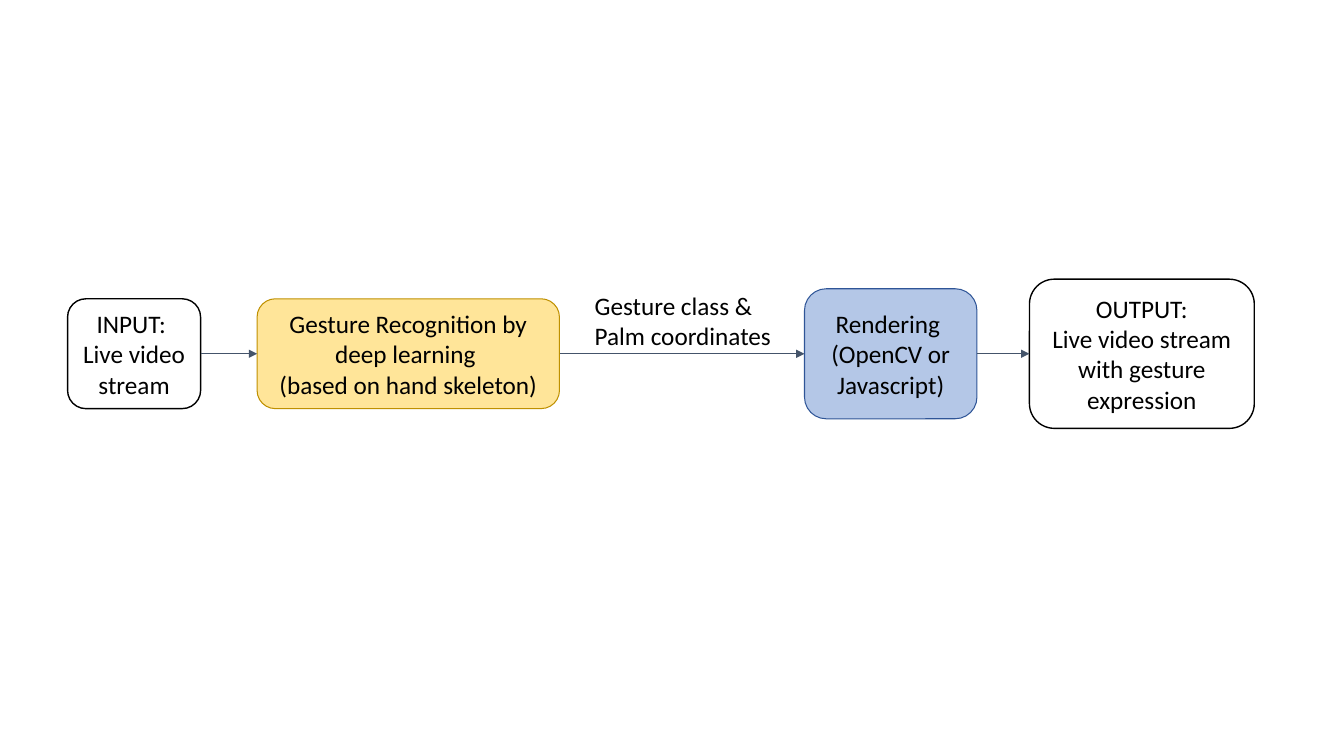
from lxml import etree
from pptx import Presentation
from pptx.dml.color import RGBColor
from pptx.enum.shapes import MSO_CONNECTOR, MSO_SHAPE
from pptx.enum.text import MSO_ANCHOR, MSO_AUTO_SIZE, PP_ALIGN
from pptx.oxml.ns import qn
from pptx.util import Inches, Pt

ROUNDED = MSO_SHAPE.ROUNDED_RECTANGLE
STRAIGHT = MSO_CONNECTOR.STRAIGHT
MIDDLE = MSO_ANCHOR.MIDDLE
GROW = MSO_AUTO_SIZE.SHAPE_TO_FIT_TEXT
LEFT, CENTER = PP_ALIGN.LEFT, PP_ALIGN.CENTER
LEFT_SIDE, RIGHT_SIDE = 1, 3

SLIDE_WIDTH, SLIDE_HEIGHT = Inches(13.33), Inches(7.5)
COLUMN, ROW = SLIDE_WIDTH / 100, SLIDE_HEIGHT / 100

PIPELINE_BOX = (5.03, 36.93, 88.3, 19.73)
STAGES = [
    (0, 9.9, 14.53, "FFFFFF", "000000", 1, ["INPUT: ", "Live video stream"]),
    (14.1, 22.5, 14.53, "FFE599", "BF9000", 0.75,
     ["Gesture Recognition by deep learning ", "(based on hand skeleton)"]),
    (54.83, 12.83, 17.2, "B4C7E7", "2F5597", 0.75,
     ["Rendering ", "(OpenCV or Javascript)"]),
    (71.57, 16.73, 19.73, "FFFFFF", "000000", 1,
     ["OUTPUT:", "Live video stream with gesture expression"]),
]
HANDOFF = ["Gesture class &", "Palm coordinates"]
FONT = {"name": "Calibri", "size": Pt(18)}
STAGE_FRAME = {
    "word_wrap": True, "vertical_anchor": MIDDLE,
    "margin_left": Inches(0.1), "margin_right": Inches(0.1),
    "margin_top": Inches(0.1), "margin_bottom": Inches(0.1),
}
HANDOFF_FRAME = {"word_wrap": True, "auto_size": GROW}


def color(hex_code):
    return RGBColor.from_string(hex_code)


def place(left, top, width, height):
    return (round(left * COLUMN), round(top * ROW),
            round(width * COLUMN), round(height * ROW))


def write(frame, lines, alignment, frame_format):
    for attribute, value in frame_format.items():
        setattr(frame, attribute, value)
    for index, line in enumerate(lines):
        paragraph = frame.paragraphs[0] if index == 0 else frame.add_paragraph()
        paragraph.alignment = alignment
        run = paragraph.add_run()
        run.text = line
        for attribute, value in FONT.items():
            setattr(run.font, attribute, value)
        run.font.color.rgb = color("000000")


def add_stage(slide, box, fill, outline, weight, lines):
    stage = slide.shapes.add_shape(ROUNDED, *place(*box))
    stage.shadow.inherit = False
    stage.fill.solid()
    stage.fill.fore_color.rgb = color(fill)
    stage.line.color.rgb = color(outline)
    stage.line.width = Pt(weight)
    write(stage.text_frame, lines, CENTER, STAGE_FRAME)
    return stage


def add_arrow(slide, source, target):
    arrow = slide.shapes.add_connector(STRAIGHT, 0, 0, 0, 0)
    arrow.begin_connect(source, RIGHT_SIDE)
    arrow.end_connect(target, LEFT_SIDE)
    arrow.line.color.rgb = color("44546A")
    arrow.line.width = Pt(0.75)
    etree.SubElement(arrow.line._get_or_add_ln(), qn("a:tailEnd"), type="triangle")
    etree.SubElement(arrow._element.spPr, qn("a:effectLst"))


def add_handoff(slide, box):
    handoff = slide.shapes.add_textbox(*place(*box))
    write(handoff.text_frame, HANDOFF, LEFT, HANDOFF_FRAME)


def add_pipeline(slide, box):
    left, top, width, height = box
    stages = []
    for offset, stage_width, stage_height, fill, outline, weight, lines in STAGES:
        stage_top = top + (height - stage_height) / 2
        stage_box = (left + offset, stage_top, stage_width, stage_height)
        stages.append(add_stage(slide, stage_box, fill, outline, weight, lines))
    for source, target in zip(stages, stages[1:]):
        add_arrow(slide, source, target)
    add_handoff(slide, (left + 38.48, top + 0.8, 15.3, 9.47))


def main():
    presentation = Presentation()
    presentation.slide_width = SLIDE_WIDTH
    presentation.slide_height = SLIDE_HEIGHT
    slide = presentation.slides.add_slide(presentation.slide_layouts[6])
    add_pipeline(slide, PIPELINE_BOX)
    presentation.save("out.pptx")


if __name__ == "__main__":
    main()
